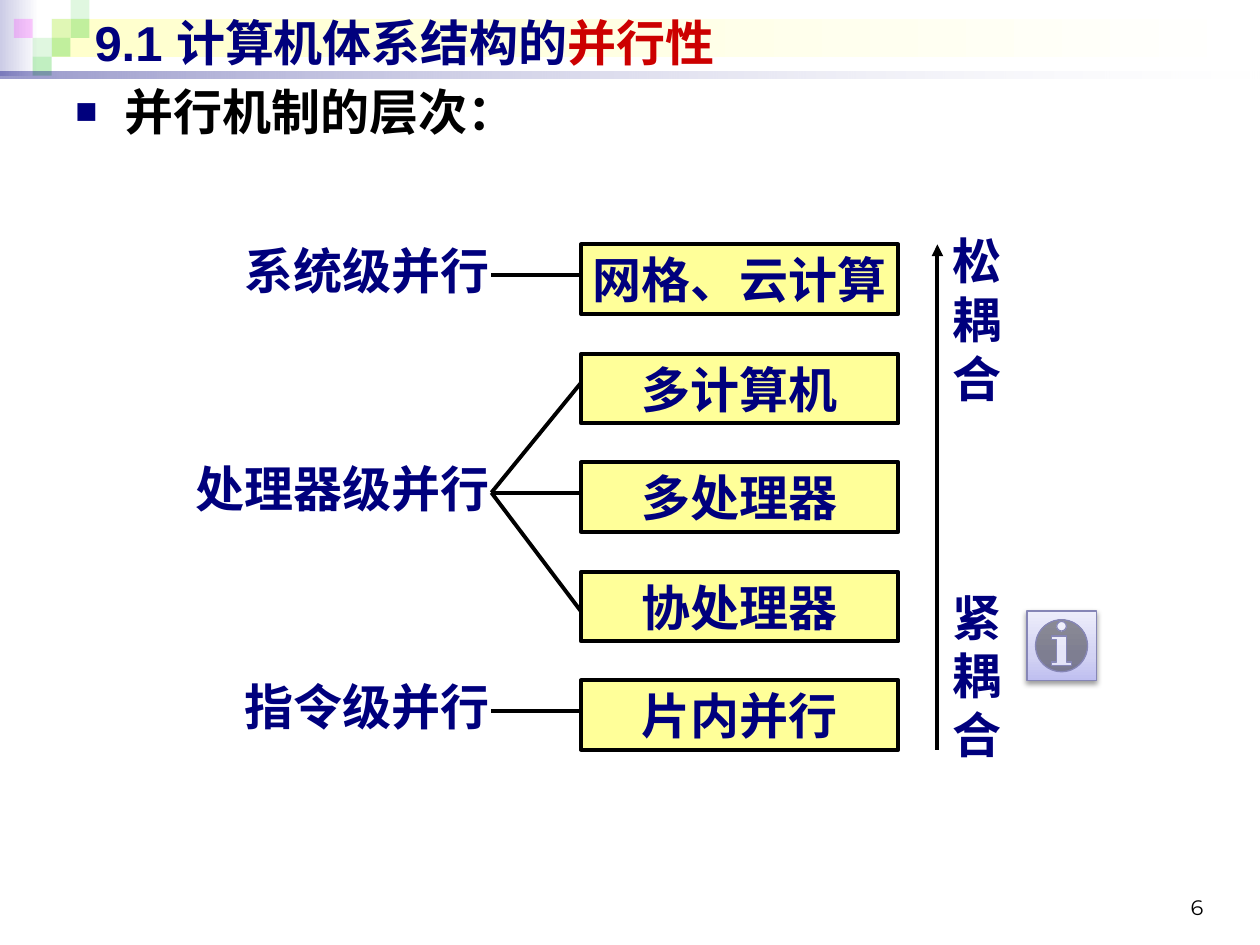
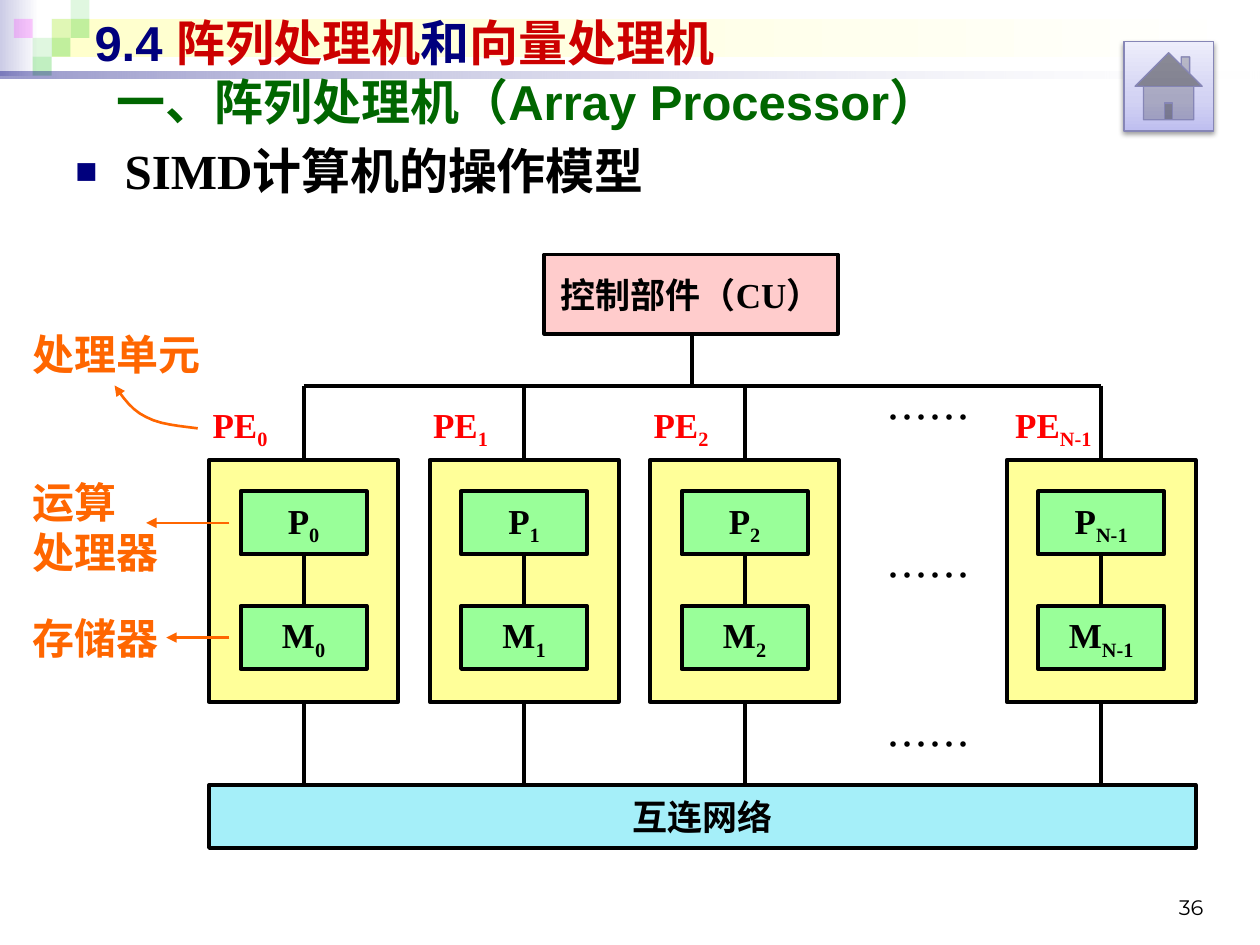
"""Build two lecture slides on parallel computer architecture."""
from dataclasses import dataclass

from lxml.etree import SubElement
from pptx import Presentation
from pptx.dml.color import RGBColor as RGB
from pptx.enum.shapes import MSO_CONNECTOR as CONN, MSO_SHAPE as SHAPE
from pptx.enum.text import MSO_ANCHOR as ANCHOR, MSO_AUTO_SIZE as AUTO, PP_ALIGN as ALIGN
from pptx.oxml.ns import qn
from pptx.util import Pt

PX = 9144


@dataclass(frozen=True)
class Theme:
    navy: str = "00007D"
    red: str = "CC0000"
    green: str = "006600"
    black: str = "000000"
    label: str = "FF0000"
    orange: str = "FF6600"
    yellow: str = "FFFF99"
    mint: str = "99FF99"
    pink: str = "FFCCCC"
    cyan: str = "A5EFF9"
    button_line: str = "8686B6"
    sans: str = "Arial"
    serif: str = "Times New Roman"
    cjk: str = "Noto Sans CJK SC"
    asian: str = "Montserrat"
    big: int = 28
    mid: int = 24
    small: int = 20
    number: int = 12
    rule: float = 2.25
    thin: float = 1.5


T = Theme()


def put(s, at, runs=(), fill=None, sp=None, color=T.black, size=T.big, name=T.serif,
        asian=T.asian, bold=True, align=ALIGN.CENTER, anchor=None):
    """Place a box or text frame and write its runs as (text, colour, baseline)."""
    at = [v * PX for v in at]
    if sp is None:
        sp = s.shapes.add_shape(SHAPE.RECTANGLE, *at) if fill else s.shapes.add_textbox(*at)
    for key, v in zip(("left", "top", "width", "height"), at):
        setattr(sp, key, v)
    if fill:
        sp.shadow.inherit = False
        sp.fill.solid()
        sp.fill.fore_color.rgb = RGB.from_string(fill)
        sp.line.color.rgb = RGB.from_string(T.black)
        sp.line.width = Pt(T.rule)
    tf = sp.text_frame
    frame = {"auto_size": AUTO.NONE, "word_wrap": not fill,
             "vertical_anchor": anchor or (ANCHOR.MIDDLE if fill else ANCHOR.TOP)}
    for key, v in frame.items():
        setattr(tf, key, v)
    p = tf.paragraphs[0]
    p.alignment = align
    for text, tint, base in runs:
        if text == "\n":
            p.add_line_break()
            continue
        r = p.add_run()
        r.text = text
        for key, v in {"name": name, "size": Pt(size), "bold": bold}.items():
            setattr(r.font, key, v)
        r.font.color.rgb = RGB.from_string(tint or color)
        rpr = r.font._element if hasattr(r.font, "_element") else r._r.get_or_add_rPr()
        SubElement(rpr, qn("a:ea"), typeface=asian)
        if base:
            rpr.set("baseline", str(base * 1000))
    return sp


def link(s, pts, color=T.black, width=T.rule, arrow=False):
    """Draw a connector through two points or an open outline through more."""
    pts = [(round(x * PX), round(y * PX)) for x, y in pts]
    if len(pts) == 2:
        sp = s.shapes.add_connector(CONN.STRAIGHT, *pts[0], *pts[1])
    else:
        fb = s.shapes.build_freeform(*pts[0])
        fb.add_line_segments(pts[1:], close=False)
        sp = fb.convert_to_shape()
        sp.fill.background()
    sp.line.color.rgb = RGB.from_string(color)
    sp.line.width = Pt(width)
    if arrow:
        SubElement(sp.element.spPr.find(qn("a:ln")), qn("a:tailEnd"), type="triangle")
    SubElement(sp.element.spPr, qn("a:effectLst"))


prs = Presentation()
prs.slide_width, prs.slide_height = 1000 * PX, 750 * PX
layout = prs.slide_layouts[5]

heads = [
    ("6", [("9.1 计算机体系结构的", None, 0), ("并行性", T.red, 0)],
     60, "并行机制的层次："),
    ("36", [("9.4 ", None, 0), ("阵列处理机", T.red, 0), ("和", None, 0),
            ("向量处理机", T.red, 0)],
     107, "SIMD计算机的操作模型"),
]
for number, title, top, point in heads:
    s = prs.slides.add_slide(layout)
    put(s, (65, 5, 900, 57), title, sp=s.shapes.title, color=T.navy, name=T.sans,
        align=ALIGN.LEFT, anchor=ANCHOR.MIDDLE)
    put(s, (717, 683, 248, 52), [(number, None, 0)], size=T.number, name=T.asian,
        bold=False, align=ALIGN.RIGHT, anchor=ANCHOR.BOTTOM)
    sp = put(s, (50, top, 915, 63), [(point, None, 0)], align=ALIGN.LEFT)
    ppr = sp.text_frame.paragraphs[0]._p.get_or_add_pPr()
    ppr.set("marL", str(39 * PX))
    ppr.set("indent", str(-39 * PX))
    SubElement(SubElement(ppr, qn("a:buClr")), qn("a:srgbClr"), val=T.navy)
    SubElement(ppr, qn("a:buSzPct"), val="75000")
    SubElement(ppr, qn("a:buFont"), typeface=T.sans)
    SubElement(ppr, qn("a:buChar"), char="■")
levels, simd = prs.slides

squares = [(41, 15, "33CC33", 15), (56, 0, "33CC33", 15), (56, 15, "33CC33", 30),
           (26, 30, "33CC33", 15), (11, 15, "FF00FF", 20), (41, 30, "33CC33", 30),
           (26, 45, "33CC33", 30)]
button = [(0, "BFBFF0", 100), (35, "D2D2F3", 100), (100, "EDEDFB", 100)]
painted = [
    (levels, SHAPE.RECTANGLE, (0, 0, 31, 60), [(0, "CCCCE6", 100), (100, "FFFFFF", 100)]),
    (levels, SHAPE.RECTANGLE, (41, 15, 955, 30), [(0, "FFFFCC", 100), (100, "FFFFFF", 100)]),
    *[(levels, SHAPE.RECTANGLE, (x, y, 15, 15), [(0, c, a)]) for x, y, c, a in squares],
    (levels, SHAPE.RECTANGLE, (0, 57, 1000, 5), [(0, "00007D", 40), (100, "FFFFFF", 10)]),
    (levels, SHAPE.ACTION_BUTTON_INFORMATION, (815, 485, 55, 55), button),
    (simd, SHAPE.ACTION_BUTTON_HOME, (892, 33, 71, 71), button),
]
for i, (s, kind, at, stops) in enumerate(painted):
    sp = s.shapes.add_shape(kind, *[v * PX for v in at])
    sp.shadow.inherit = False
    sp.line.fill.background()
    sppr = sp.element.spPr
    fill = SubElement(sppr, qn("a:gradFill" if len(stops) > 1 else "a:solidFill"))
    sppr.find(qn("a:prstGeom")).addnext(fill)
    holder = SubElement(fill, qn("a:gsLst")) if len(stops) > 1 else fill
    for pos, color, alpha in stops:
        stop = SubElement(holder, qn("a:gs"), pos=str(pos * 1000)) if len(stops) > 1 else fill
        clr = SubElement(stop, qn("a:srgbClr"), val=color)
        if alpha < 100:
            SubElement(clr, qn("a:alpha"), val=str(alpha * 1000))
    if len(stops) > 1:
        SubElement(fill, qn("a:lin"), ang="16200000" if stops is button else "0", scaled="0")
    if stops is button:
        sp.line.color.rgb = RGB.from_string(T.button_line)
        sp.line.width = Pt(0.75)
        shadow = SubElement(sppr.find(qn("a:effectLst")), qn("a:outerShdw"),
                            blurRad="39370", dist="20320", dir="5400000", rotWithShape="0")
        clr = SubElement(shadow, qn("a:srgbClr"), val=T.black)
        SubElement(clr, qn("a:alpha"), val="38000")
    else:
        layout.shapes.element.insert(2 + i, sp.element)

s = levels
for i, text in enumerate(["网格、云计算", "多计算机", "多处理器", "协处理器", "片内并行"]):
    put(s, (461, 194 + (173 * i + 1) // 2, 252, 55), [(text, None, 0)], T.yellow, color=T.navy)
for i, text in enumerate(["系统级并行", "处理器级并行", "指令级并行"]):
    y = 218 + 173 * i
    put(s, (130, y - 32, 268, 57), [(text, None, 0)], color=T.navy, align=ALIGN.RIGHT)
    link(s, [(461, y), (390, y)])
for y in (304, 485):
    link(s, [(461, y), (390, 391)])
link(s, [(744, 595), (744, 194)], arrow=True)
for text, y in (("松耦合", 178), ("紧耦合", 461)):
    put(s, (744, y, 63, 150), [(text, None, 0)], color=T.navy)

s = simd
put(s, (83, 52, 884, 57), [("一、阵列处理机（Array Processor）", None, 0)], color=T.green,
    name=T.sans, align=ALIGN.LEFT, anchor=ANCHOR.MIDDLE)
put(s, (432, 202, 233, 63), [("控制部件（CU）", None, 0)], T.pink, size=T.small)
put(s, (166, 623, 783, 50), [("互连网络", None, 0)], T.cyan, size=T.small, name=T.sans)
link(s, [(549, 265), (549, 306)])
link(s, [(241, 306), (874, 306)])
for x, sub, width in ((166, "0", 67), (341, "1", 67), (516, "2", 67), (799, "N-1", 92)):
    put(s, (x, 365, 150, 192), fill=T.yellow)
    for unit, y in (("P", 390), ("M", 481)):
        put(s, (x + 25, y, 100, 50), [(unit, None, 0), (sub, None, -25)], T.mint, size=T.small)
    put(s, (x - 9, 315, width, 43), [("PE", None, 0), (sub, None, -25)],
        color=T.label, size=T.small)
    for y1, y2 in ((306, 365), (440, 481), (557, 623)):
        link(s, [(x + 75, y1), (x + 75, y2)])
for y in (306, 431, 565):
    put(s, (691, y, 92, 50), [("……", None, 0)], size=T.mid, name=T.cjk, asian=T.cjk,
        bold=False, anchor=ANCHOR.MIDDLE)

notes = [((16, 256, 158, 50), ["处理单元"]), ((16, 373, 133, 90), ["运算", "\n", "处理器"]),
         ((16, 481, 125, 50), ["存储器"])]
for at, texts in notes:
    put(s, at, [(t, None, 0) for t in texts], color=T.orange, size=T.mid, align=ALIGN.LEFT)
curve = [(157, 340)]
for ctrl in ([(157, 340), (142, 338), (127, 337), (116, 331)],
             [(116, 331), (105, 326), (98, 316), (91, 306)]):
    for k in range(1, 7):
        t = k / 6
        weights = ((1 - t) ** 3, 3 * t * (1 - t) ** 2, 3 * t * t * (1 - t), t ** 3)
        curve.append(tuple(sum(w * c[d] for w, c in zip(weights, ctrl)) for d in (0, 1)))
for pts in ([(182, 415), (116, 415)], [(182, 506), (132, 506)], curve):
    link(s, pts, T.orange, T.thin, True)

prs.save("out.pptx")
